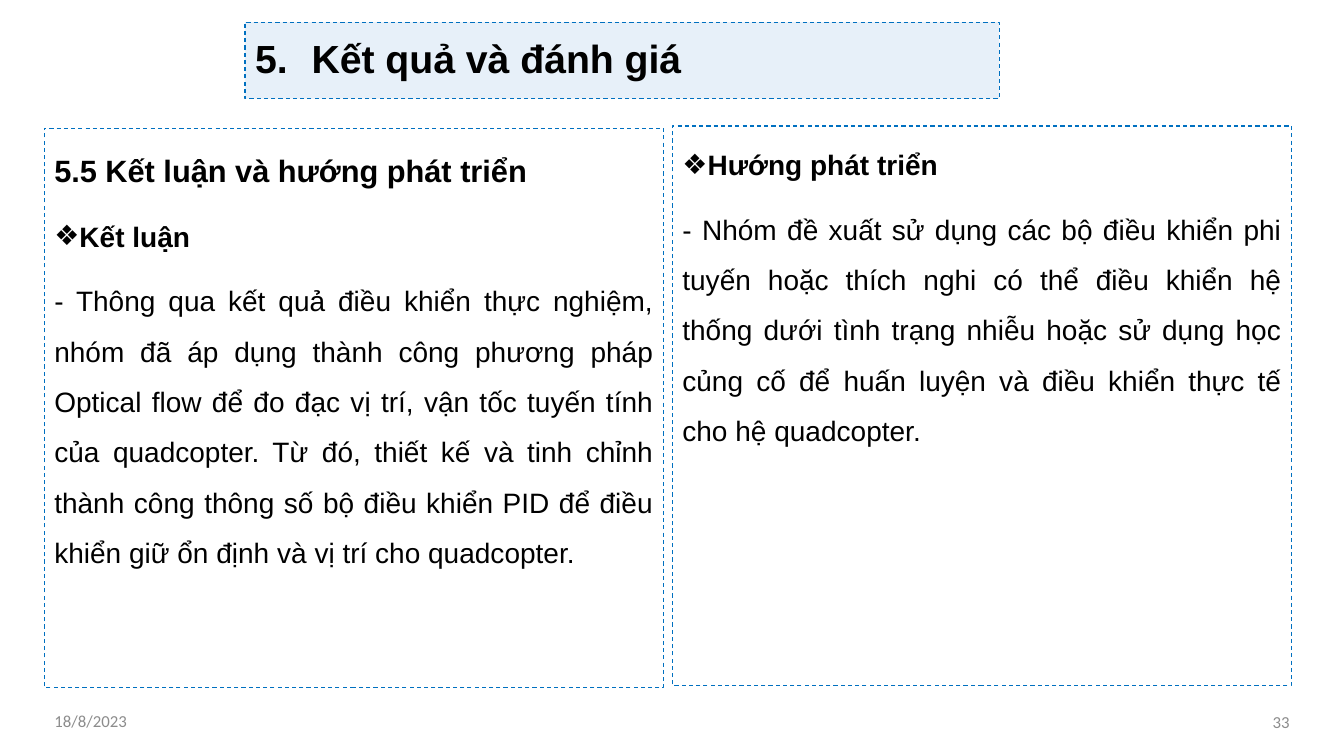
"""Build the results and evaluation slide with its two conclusion panels."""
from lxml import etree
from pptx import Presentation
from pptx.dml.color import RGBColor
from pptx.enum.dml import MSO_LINE
from pptx.enum.text import MSO_ANCHOR as ANCHOR, MSO_AUTO_SIZE, PP_ALIGN as ALIGN
from pptx.oxml.ns import qn
from pptx.util import Inches, Pt

COLORS = {"text": "000000", "border": "0070C0", "title": "E7F0F9", "footer": "8C8C8C"}
DIAMOND = ("buChar", {"char": "❖"})
NUMBER = ("buAutoNum", {"type": "arabicPeriod", "startAt": "5"})


def write(tf, text, size=20, bold=False, color="text", font="Arial", align=ALIGN.LEFT,
          spacing=1.0, before=0, bullet=None, indent=0):
    p = tf.paragraphs[0]
    if p.runs:
        p = tf.add_paragraph()
    if bullet:
        tag, attributes = bullet
        pPr = p._p.get_or_add_pPr()
        pPr.set("marL", str(Inches(indent)))
        pPr.set("indent", str(-Inches(indent)))
        etree.SubElement(pPr, qn("a:buFont"), typeface="Arial")
        etree.SubElement(pPr, qn(f"a:{tag}"), attributes)
    p.alignment = align
    p.line_spacing = spacing
    p.space_before = Pt(before)
    r = p.add_run()
    r.text = text
    r.font.size = Pt(size)
    r.font.bold = bold
    r.font.name = font
    r.font.color.rgb = RGBColor.from_string(COLORS[color])


def frame(shape, anchor=ANCHOR.TOP, border=True):
    if border:
        shape.line.color.rgb = RGBColor.from_string(COLORS["border"])
        shape.line.width = Pt(0.75)
        shape.line.dash_style = MSO_LINE.DASH
    tf = shape.text_frame
    tf.word_wrap = True
    tf.auto_size = MSO_AUTO_SIZE.NONE
    tf.vertical_anchor = anchor
    return tf


prs = Presentation()
prs.slide_width, prs.slide_height = Inches(13.33), Inches(7.5)
s = prs.slides.add_slide(prs.slide_layouts[5])

title = s.shapes.title
title.left, title.top = Inches(2.43), Inches(0.22)
title.width, title.height = Inches(7.48), Inches(0.76)
title.fill.solid()
title.fill.fore_color.rgb = RGBColor.from_string(COLORS["title"])
write(frame(title, ANCHOR.MIDDLE), "Kết quả và đánh giá", size=28, bold=True,
      spacing=0.9, bullet=NUMBER, indent=0.56)

heading = dict(size=22, bold=True)
topic = dict(bold=True, align=ALIGN.JUSTIFY, bullet=DIAMOND, indent=0.25)
body = dict(align=ALIGN.JUSTIFY)
panels = [
    (0.44, 1.27, [
        ("5.5 Kết luận và hướng phát triển", heading),
        ("Kết luận", topic),
        ("- Thông qua kết quả điều khiển thực nghiệm, nhóm đã áp dụng thành công "
         "phương pháp Optical flow để đo đạc vị trí, vận tốc tuyến tính của quadcopter. "
         "Từ đó, thiết kế và tinh chỉnh thành công thông số bộ điều khiển PID để điều "
         "khiển giữ ổn định và vị trí cho quadcopter.", body),
    ]),
    (6.67, 1.25, [
        ("Hướng phát triển", topic),
        ("- Nhóm đề xuất sử dụng các bộ điều khiển phi tuyến hoặc thích nghi có thể "
         "điều khiển hệ thống dưới tình trạng nhiễu hoặc sử dụng học củng cố để huấn "
         "luyện và điều khiển thực tế cho hệ quadcopter.", body),
    ]),
]
for left, top, paragraphs in panels:
    panel = s.shapes.add_textbox(Inches(left), Inches(top), Inches(6.14), Inches(5.55))
    tf = frame(panel)
    for i, (text, style) in enumerate(paragraphs):
        write(tf, text, spacing=1.5, before=10 if i else 0, **style)

footers = [(0.44, 6.95, "18/8/2023", ALIGN.LEFT), (9.58, 6.96, "33", ALIGN.RIGHT)]
for left, top, text, align in footers:
    footer = s.shapes.add_textbox(Inches(left), Inches(top), Inches(3.31), Inches(0.4))
    write(frame(footer, ANCHOR.MIDDLE, border=False), text, size=12, color="footer",
          font="Calibri", align=align)

prs.save("out.pptx")
